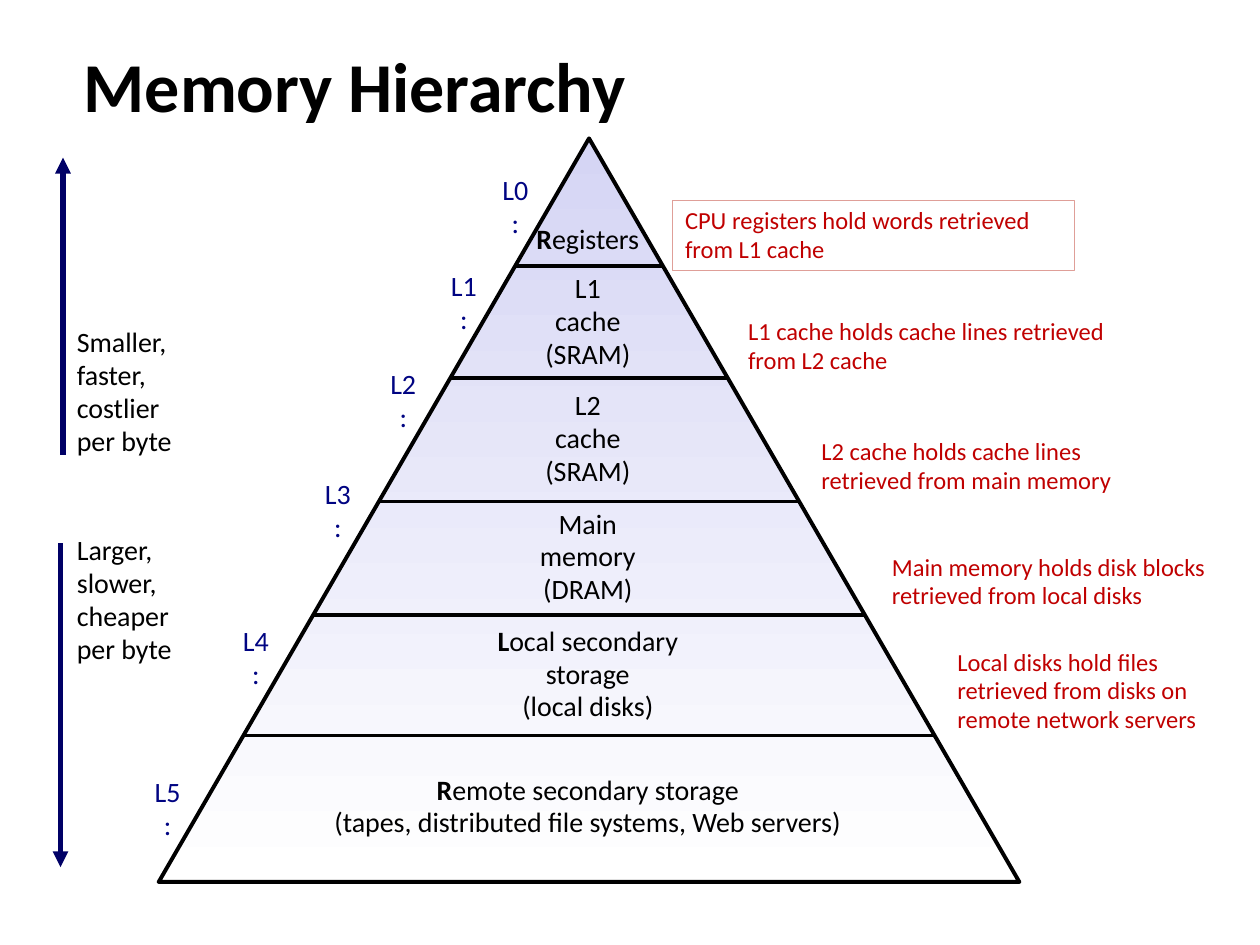
from lxml.etree import SubElement
from pptx import Presentation
from pptx.dml.color import RGBColor
from pptx.enum.shapes import MSO_CONNECTOR, MSO_SHAPE
from pptx.enum.text import MSO_ANCHOR, PP_ALIGN
from pptx.oxml.ns import qn
from pptx.util import Cm, Pt

BLACK = RGBColor(0x00, 0x00, 0x00)
WHITE = RGBColor(0xFF, 0xFF, 0xFF)
LAVENDER = RGBColor(0xD5, 0xD5, 0xF4)
NAVY = RGBColor(0x00, 0x00, 0x66)
BLUE = RGBColor(0x00, 0x04, 0x82)
RED = RGBColor(0xC0, 0x00, 0x00)
PINK = RGBColor(0xDF, 0x9F, 0x98)

# All positions are in centimetres.
LEFT, TOP, WIDTH, HEIGHT = 3.2, 2.79, 17.35, 14.99
APEX = LEFT + WIDTH / 2
DIVIDERS = [5.36, 7.62, 10.11, 12.4, 14.83]

# Lines, bold initial, middle of the text, centre of the level tag
LEVELS = [
    (["Registers"], True, 4.83, (10.39, 4.17)),
    (["L1 cache", "(SRAM)"], False, 6.48, (9.35, 6.12)),
    (["L2 cache", "(SRAM)"], False, 8.84, (8.13, 8.08)),
    (["Main memory", "(DRAM)"], False, 11.23, (6.81, 10.31)),
    (["Local secondary storage", "(local disks)"], True, 13.59, (5.16, 13.26)),
    (["Remote secondary storage",
      "(tapes, distributed file systems, Web servers)"], True, 16.26, (3.38, 16.31)),
]

# Text, left, top, width, height
NOTES = [
    ("CPU registers hold words retrieved from L1 cache", 13.56, 4.04, 8.1, 1.42),
    ("L1 cache holds cache lines retrieved from L2 cache", 14.83, 6.27, 7.87, 1.42),
    ("L2 cache holds cache lines retrieved from main memory", 16.31, 8.69, 7.29, 1.42),
    ("Main memory holds disk blocks retrieved from local disks", 17.73, 11.02, 7.62, 1.42),
    ("Local disks hold files retrieved from disks on remote network servers",
     19.05, 12.93, 5.74, 2.01),
]

# Lines, top of the text, arrow x, arrow start, arrow end
TRENDS = [
    (["Smaller,", "faster,", "costlier", "per byte"], 6.45, 1.27, 9.17, 3.18),
    (["Larger,", "slower,", "cheaper", "per byte"], 10.64, 1.22, 10.95, 17.48),
]


def add_text(page, lines, left, top, width, height, size=16, color=BLACK,
             align=PP_ALIGN.LEFT, bold=False, bold_initial=False, wrap=False):
    box = page.shapes.add_textbox(Cm(left), Cm(top), Cm(width), Cm(height))
    frame = box.text_frame
    frame.word_wrap = wrap
    frame.vertical_anchor = MSO_ANCHOR.MIDDLE
    for index, line in enumerate(lines):
        para = frame.add_paragraph() if index else frame.paragraphs[0]
        para.alignment = align
        para.line_spacing = 0.98
        para.font.name = "Calibri"
        para.font.size = Pt(size)
        para.font.bold = bold
        para.font.color.rgb = color
        if bold_initial and index == 0:
            span = para.add_run()
            span.text = line[0]
            span.font.bold = True
            line = line[1:]
        para.add_run().text = line
    return box


def add_centred(page, lines, x, y, width, **style):
    height = 0.25 + 0.67 * len(lines)
    add_text(page, lines, x - width / 2, y - height / 2, width, height,
             align=PP_ALIGN.CENTER, **style)


def add_line(page, start, end, color, weight, arrow=False):
    line = page.shapes.add_connector(
        MSO_CONNECTOR.STRAIGHT, *(Cm(value) for value in (*start, *end)))
    line.line.color.rgb = color
    line.line.width = Pt(weight)
    if arrow:
        SubElement(line.line._get_or_add_ln(), qn("a:tailEnd"), type="triangle")
    SubElement(line._element.spPr, qn("a:effectLst"))


def add_pyramid(page):
    pyramid = page.shapes.add_shape(MSO_SHAPE.ISOSCELES_TRIANGLE,
                                    Cm(LEFT), Cm(TOP), Cm(WIDTH), Cm(HEIGHT))
    pyramid.shadow.inherit = False
    pyramid.fill.gradient()
    pyramid.fill.gradient_angle = 270
    for stop, color, position in zip(pyramid.fill.gradient_stops, (LAVENDER, WHITE), (0, 1)):
        stop.color.rgb = color
        stop.position = position
    pyramid.line.color.rgb = BLACK
    pyramid.line.width = Pt(2.25)
    for y in DIVIDERS:
        half = (y - TOP) / HEIGHT * WIDTH / 2
        add_line(page, (APEX - half, y), (APEX + half, y), BLACK, 2)


def main():
    deck = Presentation()
    deck.slide_width, deck.slide_height = Cm(25.4), Cm(19.05)
    page = deck.slides.add_slide(deck.slide_layouts[6])

    add_text(page, ["Memory Hierarchy"], 1.44, 0.69, 23.9, 2.18, size=40, bold=True, wrap=True)
    add_pyramid(page)

    for number, (lines, bold_initial, y, tag) in enumerate(LEVELS):
        width = 0.6 + 0.23 * max(map(len, lines))
        add_centred(page, lines, 11.85, y, width, bold_initial=bold_initial)
        add_centred(page, [f"L{number}:"], *tag, 1.17, color=BLUE)

    notes = [add_text(page, [text], *place, size=14, color=RED, wrap=True)
             for text, *place in NOTES]
    notes[0].line.color.rgb = PINK
    notes[0].line.width = Pt(0.75)

    for lines, top, x, start, end in TRENDS:
        add_text(page, lines, 1.3, top, 2.45, 2.92)
        add_line(page, (x, start), (x, end), NAVY, 3, arrow=True)

    deck.save("out.pptx")


if __name__ == "__main__":
    main()
